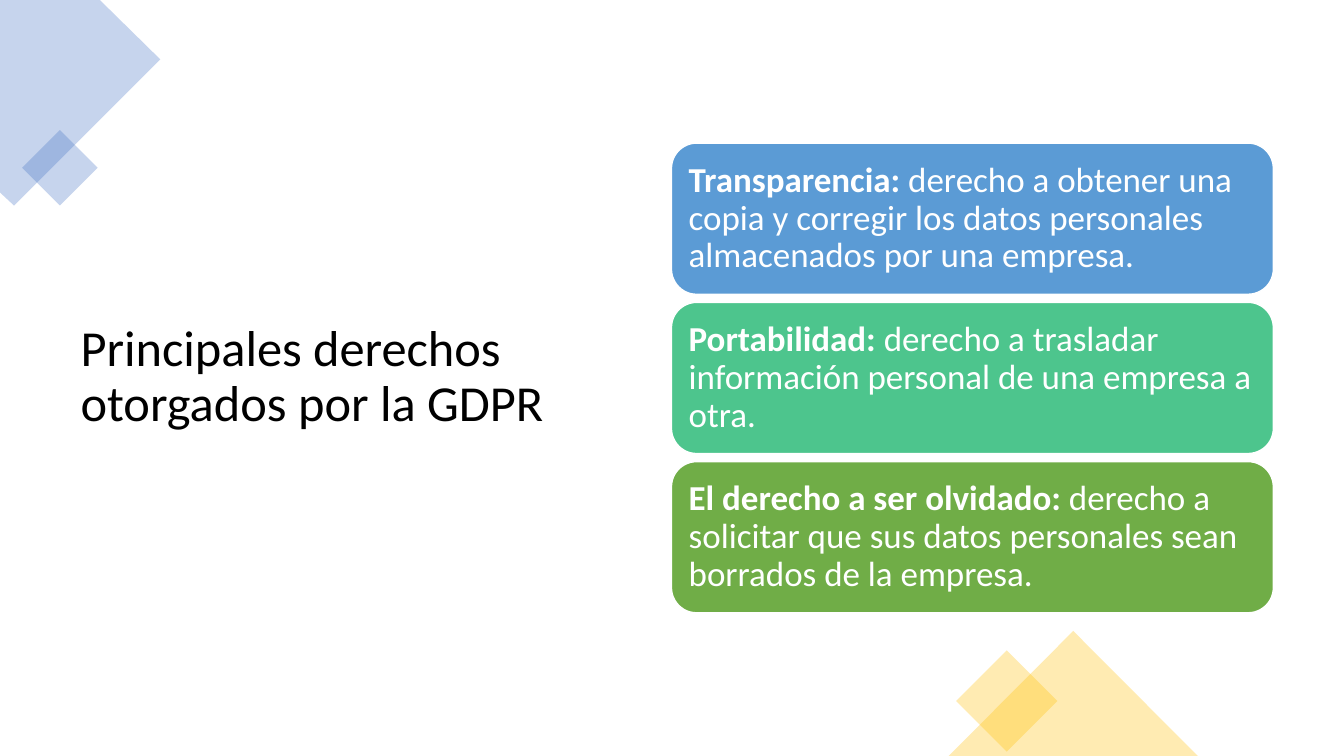
from lxml import etree
from pptx import Presentation
from pptx.dml.color import RGBColor
from pptx.enum.shapes import MSO_SHAPE
from pptx.enum.text import MSO_ANCHOR, PP_ALIGN
from pptx.oxml.ns import qn
from pptx.util import Inches, Pt

RECTANGLE = MSO_SHAPE.RECTANGLE
TRIANGLE = MSO_SHAPE.ISOSCELES_TRIANGLE
ROUNDED = MSO_SHAPE.ROUNDED_RECTANGLE
MIDDLE = MSO_ANCHOR.MIDDLE
LEFT = PP_ALIGN.LEFT

FONT = "Calibri"
BLUE = "4472C4"
GOLD = "FFC000"
WHITE = "FFFFFF"

CORNER = [(0, 0), (0.99, 0), (1.59, 0.59), (0.14, 2.04), (0, 1.91)]
RIGHTS = [
    ("Transparencia:",
     " derecho a obtener una copia y corregir los datos personales almacenados por una empresa.",
     "5B9BD5"),
    ("Portabilidad:",
     " derecho a trasladar información personal de una empresa a otra.",
     "4DC58D"),
    ("El derecho a ser olvidado:",
     " derecho a solicitar que sus datos personales sean borrados de la empresa.",
     "70AD47"),
]
CARD_TOP = 1.42
CARD_STEP = 1.58


def color(hex_value):
    return RGBColor.from_string(hex_value)


def paint(shape, fill):
    shape.shadow.inherit = False
    shape.fill.solid()
    shape.fill.fore_color.rgb = color(fill)


def paint_translucent(shape, fill):
    paint(shape, fill)
    shape.line.fill.background()
    tint = shape.fill._xPr.find(qn("a:solidFill"))[0]
    etree.SubElement(tint, qn("a:alpha"), val="30000")


def add_corner(slide, points, fill):
    outline = [(Inches(x), Inches(y)) for x, y in points]
    builder = slide.shapes.build_freeform(*outline[0])
    builder.add_line_segments(outline[1:], close=True)
    paint_translucent(builder.convert_to_shape(), fill)


def add_accent(slide, preset, left, top, width, height, fill, rotation=0):
    accent = slide.shapes.add_shape(
        preset, Inches(left), Inches(top), Inches(width), Inches(height))
    accent.rotation = rotation
    paint_translucent(accent, fill)


def format_run(run, size, hex_value, bold=False):
    run.font.name = FONT
    run.font.size = Pt(size)
    run.font.bold = bold
    run.font.color.rgb = color(hex_value)


def add_title(slide, text):
    title = slide.shapes.add_textbox(
        Inches(0.7), Inches(0.7), Inches(5.25), Inches(6.09))
    frame = title.text_frame
    frame.word_wrap = True
    frame.vertical_anchor = MIDDLE
    frame.text = text
    paragraph = frame.paragraphs[0]
    paragraph.line_spacing = 0.9
    format_run(paragraph.runs[0], 36, "000000")


def add_card(slide, top, name, description, fill):
    card = slide.shapes.add_shape(
        ROUNDED, Inches(6.66), Inches(top), Inches(5.97), Inches(1.5))
    paint(card, fill)
    card.line.color.rgb = color(WHITE)
    card.line.width = Pt(1)
    frame = card.text_frame
    frame.word_wrap = True
    frame.vertical_anchor = MIDDLE
    frame.margin_left = frame.margin_right = Inches(0.1)
    frame.margin_top = frame.margin_bottom = Inches(0.1)
    paragraph = frame.paragraphs[0]
    paragraph.text = name
    paragraph.alignment = LEFT
    paragraph.line_spacing = 0.9
    format_run(paragraph.runs[0], 25, WHITE, bold=True)
    detail = paragraph.add_run()
    detail.text = description
    format_run(detail, 25, WHITE)


def main():
    deck = Presentation()
    deck.slide_width = Inches(13.33)
    deck.slide_height = Inches(7.5)
    slide = deck.slides.add_slide(deck.slide_layouts[6])

    add_title(slide, "Principales derechos otorgados por la GDPR")
    add_corner(slide, CORNER, BLUE)
    add_accent(slide, RECTANGLE, 0.33, 1.4, 0.53, 0.53, BLUE, rotation=45)
    add_accent(slide, RECTANGLE, 9.63, 6.6, 0.71, 0.71, GOLD, rotation=45)
    add_accent(slide, TRIANGLE, 9.41, 6.26, 2.47, 1.24, GOLD)
    for index, (name, description, fill) in enumerate(RIGHTS):
        add_card(slide, CARD_TOP + index * CARD_STEP, name, description, fill)

    deck.save("out.pptx")


if __name__ == "__main__":
    main()
